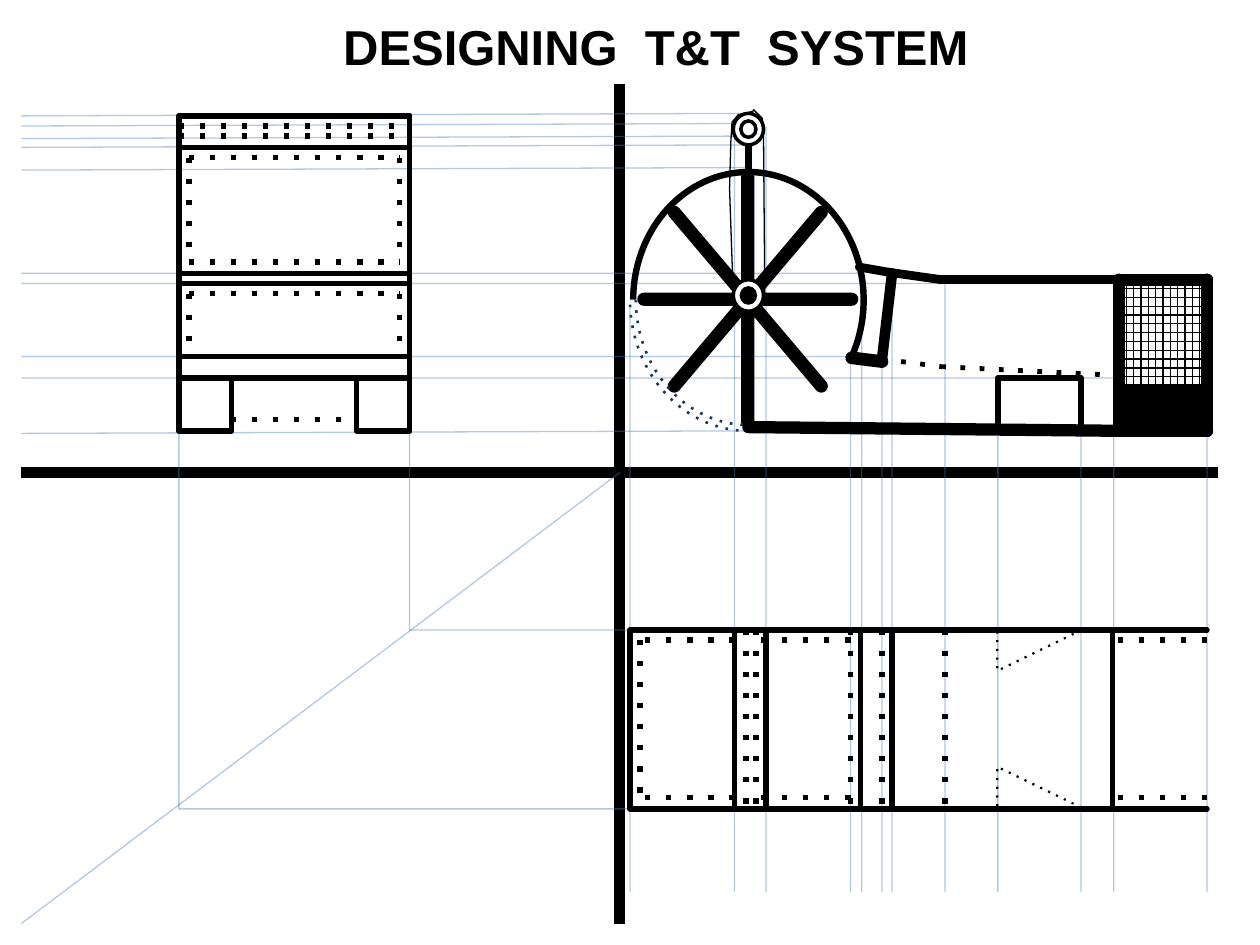
from pptx import Presentation
from pptx import util as u
from pptx.dml.color import RGBColor
from pptx.enum import dml, shapes, text
from pptx.oxml import parse_xml
from pptx.oxml.ns import nsdecls, qn

COLORS = {"ink": "000000", "guide": "4A7DBA", "paper": "FFFFFF", "hidden_arc": "17365D", "wheel": "A5B592"}
TITLE = "DESIGNING  T&T  SYSTEM"
KIND = shapes.MSO_SHAPE

AXES = [((4.92, 0.67, 4.92, 7.33), 6.25), ((0.17, 3.75, 9.67, 3.75), 6)]
GUIDE_BOTTOM = 7.08
VERTICAL_GUIDES = [
    (5, 2.42), (5.83, 1), (6.08, 1), (6.75, 2.83), (6.84, 2.08), (7, 2.83), (7.08, 2.17),
    (7.5, 2.25), (7.92, 3), (8.58, 3), (8.84, 2.17), (9.58, 2.17),
]
SLOPED_GUIDES = [0.9, 0.98, 1.08, 1.15, 1.33, 3.42]
LEVEL_GUIDES = [(6.83, 2.17), (8.84, 2.25), (7, 2.83), (8.84, 3)]
MITRE_GUIDES = [
    (4.92, 3.75, 0.17, 7.33), (5, 5, 3.25, 5), (5, 6.42, 1.42, 6.42),
    (3.25, 5, 3.25, 0.92), (1.42, 6.42, 1.42, 0.92),
]

PLAN_TOP, PLAN_BOTTOM = 5, 6.42
PLAN_EDGES = [5, 5.83, 6.08, 6.83, 7.08, 8.83]
PLAN_HIDDEN_EDGES = [5.92, 6, 6.75, 7, 7.5]
PLAN_HIDDEN_SPANS = [(9.58, 8.83), (5.83, 5.08), (6.75, 6)]
PLAN_HIDDEN_LEVELS = [5.08, 6.33]
PLAN_WEDGES = [((8.09, 5.91, 0.33, 0.68), True), ((8.09, 4.82, 0.33, 0.68), False)]

FRONT_LEFT, FRONT_RIGHT = 1.42, 3.25
FRONT_LEVELS = [0.92, 1.17, 2.17, 2.25, 2.83, 3]
FRONT_HIDDEN = [
    (1.42, 1, 3.25, 1), (1.42, 1.08, 3.25, 1.08),
    (1.5, 1.25, 3.17, 1.25), (1.5, 2.08, 3.17, 2.08), (3.17, 1.25, 3.17, 2.08), (1.5, 1.25, 1.5, 2.08),
    (1.5, 2.33, 3.17, 2.33), (3.17, 2.33, 3.17, 2.83), (1.5, 2.33, 1.5, 2.83),
    (1.83, 3.33, 2.83, 3.33),
]
FEET = [(1.42, 3, 0.42, 0.42), (2.83, 3, 0.42, 0.42)]

WHEEL = (5.11, 1.4, 1.65, 1.95)
RIM = (5, 1.34, 1.88, 2.08)
PULLEYS = [((5.82, 0.9, 0.24, 0.25), 0.25), ((5.82, 2.22, 0.24, 0.25), 0.27)]
SIDE_LINES = [
    ((5.94, 1.15, 5.94, 1.34), 4),
    ((7.08, 2.17, 7, 2.85), 6),
    ((6.82, 2.12, 7.05, 2.16), 5), ((7.05, 2.16, 7.47, 2.22), 5), ((7.47, 2.22, 8.88, 2.22), 5),
    ((6.76, 2.84, 7, 2.87), 7.25),
    ((5.94, 3.39, 8.94, 3.42), 7), ((8.88, 3.42, 9.58, 3.42), 7), ((8.88, 2.22, 9.58, 2.22), 7),
    ((9.58, 2.22, 9.58, 3.42), 7), ((8.88, 2.22, 8.88, 3.42), 7),
    ((7.92, 3, 7.92, 3.42), 3), ((8.58, 3, 8.58, 3.42), 3), ((7.92, 3, 8.58, 3), 3),
]
SIDE_HIDDEN = [(7, 2.85, 7.47, 2.91), (7.47, 2.91, 8.88, 2.98)]
TANK = (8.88, 3.06, 0.71, 0.35)
MESH_COUNT = 11
BELT = [
    (5.8, 1.13), (5.79, 1.5), (5.82, 2.36), (5.85, 2.45), (5.94, 2.48), (6.04, 2.44), (6.07, 2.36),
    (6.06, 1.1), (6.05, 0.94), (5.98, 0.87), (5.98, 0.88), (5.92, 0.9), (5.86, 0.91), (5.81, 0.97),
]


def length(inches):
    return u.Cm(inches * 2.54)


def style_line(shape, color, width, dotted=False, alpha=None, rounded=False):
    line = shape.line
    line.color.rgb = RGBColor.from_string(COLORS[color])
    line.width = u.Pt(width)
    outline = shape._element.spPr.find(qn("a:ln"))
    if dotted:
        line.dash_style = dml.MSO_LINE.ROUND_DOT
        outline.find(qn("a:prstDash")).set("val", "dot")
    if rounded:
        outline.set("cap", "rnd")
        outline.append(parse_xml(f"<a:round {nsdecls('a')}/>"))
    if alpha:
        color_node = outline.find(".//" + qn("a:srgbClr"))
        color_node.append(parse_xml(f'<a:alpha {nsdecls("a")} val="{alpha * 1000}"/>'))


def add_line(parent, ends, width, color="ink", **style):
    connector = parent.add_connector(shapes.MSO_CONNECTOR.STRAIGHT, *map(length, ends))
    style_line(connector, color, width, **style)
    connector._element.spPr.append(parse_xml(f"<a:effectLst {nsdecls('a')}/>"))


def add_edge(parent, ends, width=3):
    add_line(parent, ends, width, rounded=True)


def add_hidden(parent, ends, width=3):
    add_line(parent, ends, width, dotted=True)


def paint(shape, fill, color, width, **style):
    shape.shadow.inherit = False
    if fill:
        shape.fill.solid()
        shape.fill.fore_color.rgb = RGBColor.from_string(COLORS[fill])
    else:
        shape.fill.background()
    if color:
        style_line(shape, color, width, **style)
    else:
        shape.line.fill.background()


def add_part(parent, kind, box, fill=None, color="ink", width=3, adjust=(), **style):
    shape = parent.add_shape(kind, *map(length, box))
    for index, value in enumerate(adjust):
        shape.adjustments[index] = value
    paint(shape, fill, color, width, **style)
    return shape


def draw_title(slide):
    title = slide.shapes.title
    title.left, title.top, title.width, title.height = map(length, (2.33, 0.08, 5.75, 0.57))
    frame = title.text_frame
    frame.word_wrap = True
    frame.vertical_anchor = text.MSO_ANCHOR.MIDDLE
    paragraph = frame.paragraphs[0]
    paragraph.alignment = text.PP_ALIGN.CENTER
    run = paragraph.add_run()
    run.text = TITLE
    run.font.name, run.font.size, run.font.bold = "Arial", u.Pt(28), True
    run.font.color.rgb = RGBColor.from_string(COLORS["ink"])


def draw_guides(parent):
    guides = [(x, top, x, GUIDE_BOTTOM) for x, top in VERTICAL_GUIDES]
    guides += [(5.92, y, 0.17, y + 0.02) for y in SLOPED_GUIDES]
    guides += [(right, y, 0.17, y) for right, y in LEVEL_GUIDES]
    for ends in guides + MITRE_GUIDES:
        add_line(parent, ends, 0.75, "guide", alpha=42)


def draw_plan(parent):
    for y in (PLAN_BOTTOM, PLAN_TOP):
        add_edge(parent, (5, y, 9.58, y))
    for x in PLAN_EDGES:
        add_edge(parent, (x, PLAN_TOP, x, PLAN_BOTTOM))
    for x in PLAN_HIDDEN_EDGES:
        add_hidden(parent, (x, PLAN_TOP, x, PLAN_BOTTOM))
    for y in PLAN_HIDDEN_LEVELS:
        for start, end in PLAN_HIDDEN_SPANS:
            add_hidden(parent, (start, y, end, y))
    add_hidden(parent, (5.08, 5.08, 5.08, 6.33))
    for box, flipped in PLAN_WEDGES:
        wedge = add_part(parent, KIND.ISOSCELES_TRIANGLE, box, width=1.25, adjust=[0], dotted=True)
        wedge.rotation = 90
        if flipped:
            wedge._element.spPr.find(qn("a:xfrm")).set("flipH", "1")


def draw_front(parent):
    for y in FRONT_LEVELS:
        add_edge(parent, (FRONT_LEFT, y, FRONT_RIGHT, y))
    for x in (FRONT_LEFT, FRONT_RIGHT):
        add_edge(parent, (x, 3.42, x, 0.92))
    for box in FEET:
        add_part(parent, KIND.RECTANGLE, box, rounded=True)
    for ends in FRONT_HIDDEN:
        add_hidden(parent, ends)


def draw_side(parent):
    add_part(parent, KIND.STAR_8_POINT, WHEEL, "wheel", width=7.5, adjust=[0], rounded=True)
    add_part(parent, KIND.BLOCK_ARC, RIM, None, "hidden_arc", 1.5, [53.847, 107.625, 0.025], dotted=True)
    add_part(parent, KIND.BLOCK_ARC, RIM, "ink", None, adjust=[108.036, 16.859, 0.027])
    add_part(parent, KIND.RECTANGLE, TANK, "ink", width=2)
    for ends in SIDE_HIDDEN:
        add_hidden(parent, ends, 2.75)
    for index in range(MESH_COUNT):
        x, y = 8.94 + 0.058 * index, 2.29 + 0.07 * index
        add_line(parent, (x, 2.22, x, 3.06), 0.75)
        add_line(parent, (8.88, y, 9.58, y), 0.75)
    for ends, width in SIDE_LINES:
        add_edge(parent, ends, width)
    for box, thickness in PULLEYS:
        add_part(parent, KIND.DONUT, box, "paper", width=2, adjust=[thickness])
    points = [(length(x), length(y)) for x, y in BELT]
    builder = parent.build_freeform(*points[0])
    builder.add_line_segments(points[1:], close=True)
    paint(builder.convert_to_shape(), None, "ink", 0.75)


def main():
    presentation = Presentation()
    presentation.slide_width, presentation.slide_height = length(10), length(7.5)
    slide = presentation.slides.add_slide(presentation.slide_layouts[5])
    draw_title(slide)
    for ends, width in AXES:
        add_line(slide.shapes, ends, width)
    draw_guides(slide.shapes)
    for draw_view in (draw_plan, draw_front, draw_side):
        draw_view(slide.shapes.add_group_shape().shapes)
    presentation.save("out.pptx")


if __name__ == "__main__":
    main()
